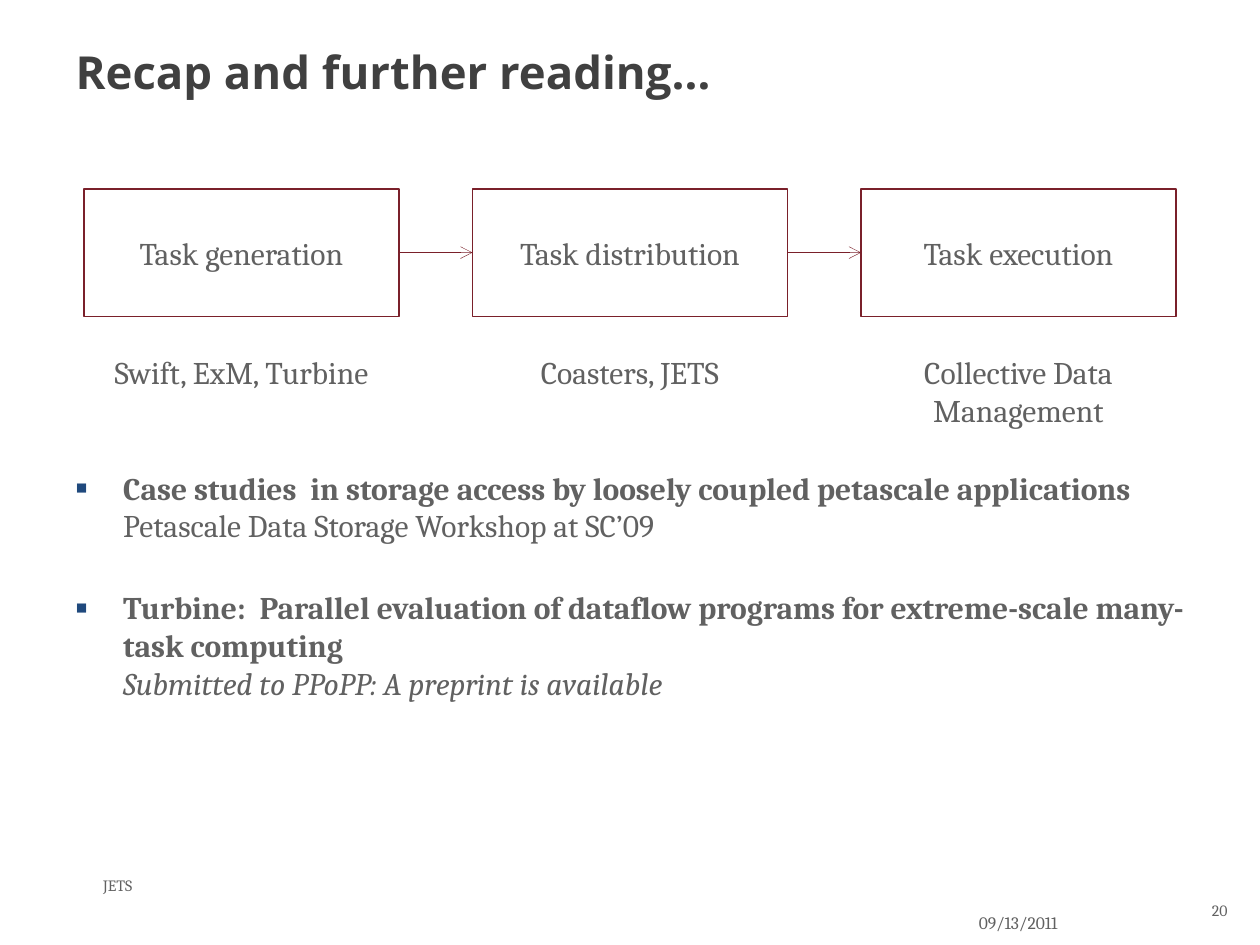
"""Build the recap slide: a three-step task flow and further reading."""
from lxml.etree import SubElement
from pptx import Presentation
from pptx.dml.color import RGBColor
from pptx.enum.shapes import MSO_CONNECTOR, MSO_SHAPE
from pptx.enum.text import MSO_ANCHOR, MSO_AUTO_SIZE, PP_ALIGN
from pptx.oxml.ns import qn
from pptx.util import Inches, Pt

HUES = {"title": "404040", "text": "616161", "line": "7A202A", "mark": "1F497D"}
TITLE = "Recap and further reading…"
STEPS = [
    ("Task generation", "Swift, ExM, Turbine"),
    ("Task distribution", "Coasters, JETS"),
    ("Task execution", "Collective Data Management"),
]
READS = [
    ("Case studies  in storage access by loosely coupled petascale applications",
     "Petascale Data Storage Workshop at SC’09", False),
    ("Turbine:  Parallel evaluation of dataflow programs for extreme-scale many-task computing",
     "Submitted to PPoPP: A preprint is available", True),
]
NOTES = [
    ("09/13/2011", (7.67, 7.19, 1.5, 0.23), 10, PP_ALIGN.LEFT),
    ("JETS", (0.72, 6.9, 6.5, 0.25), 9, PP_ALIGN.LEFT),
    ("20", (9.42, 7.1, 0.42, 0.4), 9, PP_ALIGN.RIGHT),
]
WIDE, HIGH = 10, 7.5
BOX_W, BOX_H = WIDE / 4, 1.01
EDGE = WIDE / 15
STEP = (WIDE - 2 * EDGE - BOX_W) / (len(STEPS) - 1)
BOX_Y, TAG_Y = HIGH / 5, 2.75


def tint(name):
    return RGBColor.from_string(HUES[name])


def style(font, hue="text", **form):
    form = {"name": "Cambria", "size": 18, "bold": False, "italic": False} | form
    form["size"] = Pt(form["size"])
    for key, val in form.items():
        setattr(font, key, val)
    font.color.rgb = tint(hue)


def setup(frame, anchor=MSO_ANCHOR.TOP):
    form = {"word_wrap": True, "auto_size": MSO_AUTO_SIZE.NONE, "vertical_anchor": anchor}
    for key, val in form.items():
        setattr(frame, key, val)
    return frame


def write(shape, text, align, anchor=MSO_ANCHOR.TOP, **form):
    para = setup(shape.text_frame, anchor).paragraphs[0]
    para.alignment = align
    run = para.add_run()
    run.text = text
    style(run.font, **form)


def add_box(slide, spot):
    return slide.shapes.add_textbox(*map(Inches, spot))


def add_step(slide, col, name, tag):
    left = EDGE + col * STEP
    box = slide.shapes.add_shape(
        MSO_SHAPE.RECTANGLE, *map(Inches, (left, BOX_Y, BOX_W, BOX_H)))
    box.shadow.inherit = False
    box.fill.background()
    box.line.color.rgb = tint("line")
    box.line.width = Pt(0.75)
    write(box, name, PP_ALIGN.CENTER, MSO_ANCHOR.MIDDLE)
    write(add_box(slide, (left, TAG_Y, BOX_W, 0.71)), tag, PP_ALIGN.CENTER)
    return box


def link(slide, start, end):
    line = slide.shapes.add_connector(MSO_CONNECTOR.STRAIGHT, 0, 0, 0, 0)
    line.begin_connect(start, 3)
    line.end_connect(end, 1)
    line.line.color.rgb = tint("line")
    line.line.width = Pt(0.25)
    SubElement(line.line._get_or_add_ln(), qn("a:tailEnd"), type="arrow")
    SubElement(line._element.spPr, qn("a:effectLst"))


def add_mark(para):
    props = para._p.get_or_add_pPr()
    indent = Inches(0.38)
    props.set("marL", str(indent))
    props.set("indent", str(-indent))
    hue = SubElement(props, qn("a:buClr"))
    SubElement(hue, qn("a:srgbClr"), val=HUES["mark"])
    SubElement(props, qn("a:buFont"), typeface="Cambria")
    SubElement(props, qn("a:buChar"), char="▪")


def add_reads(slide):
    frame = setup(add_box(slide, (0.5, 3.67, 9, 3.03)).text_frame)
    for num, (name, venue, slant) in enumerate(READS):
        para = frame.add_paragraph() if num else frame.paragraphs[0]
        add_mark(para)
        para.space_before = Pt(25 if num else 0)
        style(para.font)
        head = para.add_run()
        head.text = name
        style(head.font, bold=True)
        para.add_line_break()
        tail = para.add_run()
        tail.text = venue
        style(tail.font, italic=slant)


def main():
    deck = Presentation()
    deck.slide_width, deck.slide_height = Inches(WIDE), Inches(HIGH)
    slide = deck.slides.add_slide(deck.slide_layouts[5])
    title = slide.shapes.title
    spot = {"left": 0.5, "top": 0.3, "width": 9, "height": 1.25}
    for key, val in spot.items():
        setattr(title, key, Inches(val))
    write(title, TITLE, PP_ALIGN.LEFT, hue="title", name="Open Sans", size=26, bold=True)
    add_reads(slide)
    for text, place, size, align in NOTES:
        write(add_box(slide, place), text, align, size=size)
    boxes = [add_step(slide, col, *step) for col, step in enumerate(STEPS)]
    for start, end in zip(boxes, boxes[1:]):
        link(slide, start, end)
    deck.save("out.pptx")


if __name__ == "__main__":
    main()
